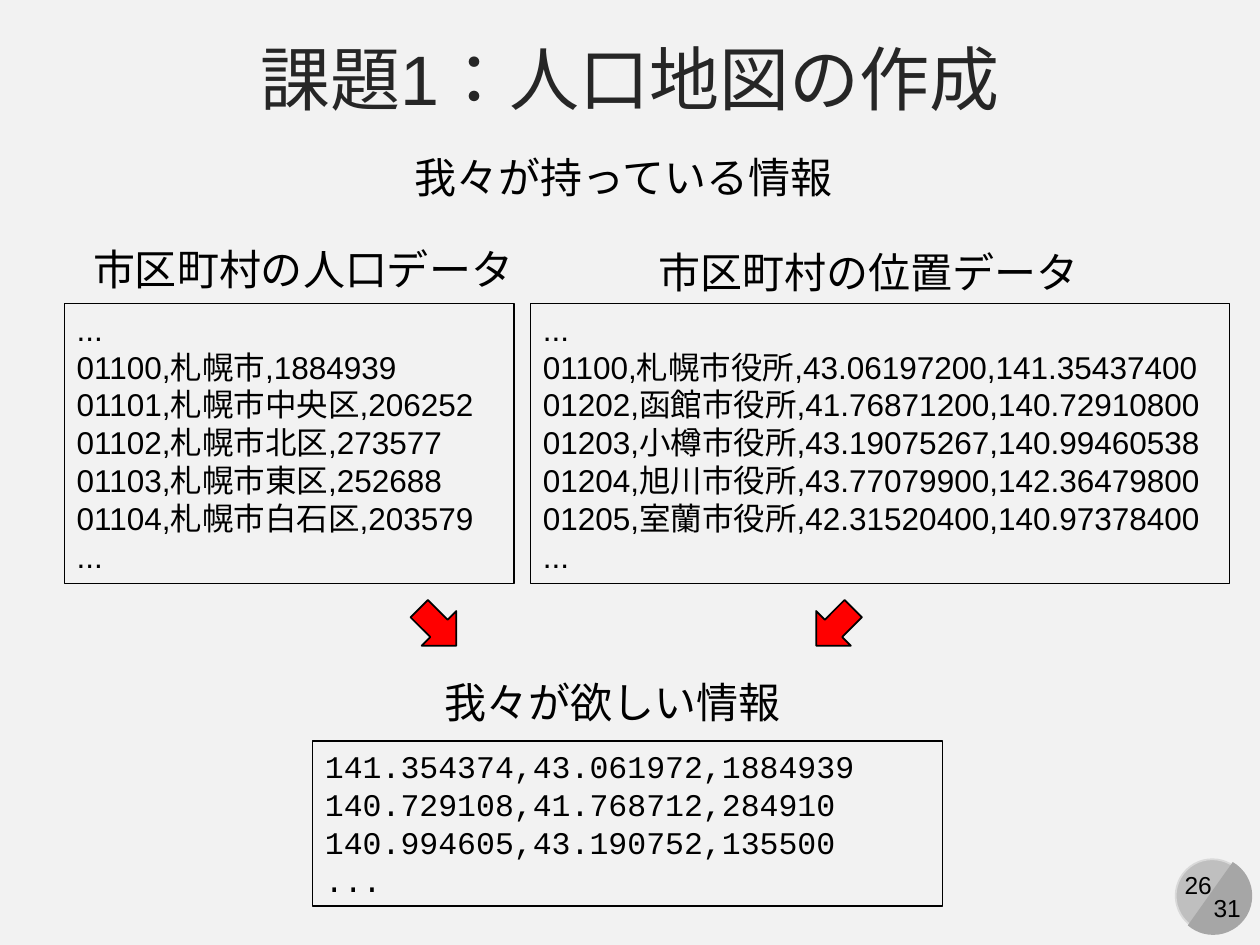
from pptx import Presentation
from pptx.dml.color import RGBColor
from pptx.enum.lang import MSO_LANGUAGE_ID as Language
from pptx.enum.shapes import MSO_SHAPE as Preset
from pptx.enum.text import MSO_ANCHOR as Anchor, PP_ALIGN as Align
from pptx.util import Pt

# Content: places are (left, top, width, height) in points
TITLE = "課題1：人口地図の作成"
CAPTIONS = [
    ("我々が持っている情報", (229.7, 82.8, 265, 36)),
    ("市区町村の人口データ", (46.1, 135.4, 257, 36)),
    ("市区町村の位置データ", (369.4, 137.5, 257, 36)),
    ("我々が欲しい情報", (247, 383, 208, 36)),
]
POPULATION = [
    "...",
    "01100,札幌市,1884939",
    "01101,札幌市中央区,206252",
    "01102,札幌市北区,273577",
    "01103,札幌市東区,252688",
    "01104,札幌市白石区,203579",
    "...",
]
LOCATIONS = [
    "...",
    "01100,札幌市役所,43.06197200,141.35437400",
    "01202,函館市役所,41.76871200,140.72910800",
    "01203,小樽市役所,43.19075267,140.99460538",
    "01204,旭川市役所,43.77079900,142.36479800",
    "01205,室蘭市役所,42.31520400,140.97378400",
    "...",
]
WANTED = [
    "141.354374,43.061972,1884939",
    "140.729108,41.768712,284910",
    "140.994605,43.190752,135500",
    "...",
]
RECORDS = [
    (POPULATION, "sans", (36.7, 173.5, 257, 160)),
    (LOCATIONS, "sans", (303.1, 173.5, 399.6, 160)),
    (WANTED, "mono", (178.6, 423.4, 360, 94.3)),
]
ARROWS = [((236.2, 343.4, 28, 30), 315), ((463, 343.4, 28, 30), 45)]
PAGE_NUMBER = ("26", (668.9, 493.9, 31.7, 24.5))
PAGE_TOTAL = ("31", (686.2, 506.9, 30.2, 24.5))

THEME = {
    "sans": "Arial", "mono": "Courier New",
    "title": 40, "caption": 24, "record": 18, "number": 14,
    "paper": "F2F2F2", "heading": "262626", "ink": "000000", "arrow": "FF0000",
    "disc": "BFBFBF", "rim": "D9D9D9", "chord": "A6A6A6",
}


def colour(name):
    return RGBColor.from_string(THEME[name])


def points(place):
    return [Pt(value) for value in place]


def write(box, lines, size, face="sans", ink="ink", align=Align.LEFT,
          anchor=Anchor.TOP, wrap=False):
    frame = box.text_frame
    frame.word_wrap = wrap
    frame.vertical_anchor = anchor
    for index, line in enumerate(lines):
        para = frame.add_paragraph() if index else frame.paragraphs[0]
        para.alignment = align
        para.space_before = Pt(0)
        span = para.add_run()
        span.text = line
        font = span.font
        font.name, font.size = THEME[face], Pt(THEME[size])
        font.color.rgb = colour(ink)
        font.language_id = Language.JAPANESE


def add_text(page, text, place, size, align=Align.LEFT):
    box = page.shapes.add_textbox(*points(place))
    write(box, [text], size, align=align)


def add_preset(page, preset, place, fill=None, line=None, width=1, rotation=0):
    shape = page.shapes.add_shape(preset, *points(place))
    shape.shadow.inherit = False
    shape.rotation = rotation
    if fill:
        shape.fill.solid()
        shape.fill.fore_color.rgb = colour(fill)
    else:
        shape.fill.background()
    if line:
        shape.line.color.rgb = colour(line)
        shape.line.width = Pt(width)
    else:
        shape.line.fill.background()
    return shape


def main():
    deck = Presentation()
    deck.slide_width, deck.slide_height = Pt(720), Pt(540)
    page = deck.slides.add_slide(deck.slide_layouts[5])
    page.background.fill.solid()
    page.background.fill.fore_color.rgb = colour("paper")

    # Page badge
    add_preset(page, Preset.OVAL, (671.8, 491, 41.8, 41.8), "disc", "rim")
    add_text(page, *PAGE_NUMBER, "number", Align.CENTER)
    chord = add_preset(page, Preset.CHORD, (671, 489.6, 44.6, 44.6), "chord", rotation=255)
    chord.adjustments[0], chord.adjustments[1] = 27, 141.42
    add_text(page, *PAGE_TOTAL, "number", Align.CENTER)

    # Title
    title = page.shapes.title
    title.left, title.top, title.width, title.height = points((0, 15, 720, 59))
    write(title, [TITLE], "title", ink="heading", align=Align.CENTER,
          anchor=Anchor.MIDDLE, wrap=True)

    # Captions and data boxes
    for text, place in CAPTIONS:
        add_text(page, text, place, "caption")
    for lines, face, place in RECORDS:
        box = add_preset(page, Preset.RECTANGLE, place, line="ink", width=0.75)
        write(box, lines, "record", face)

    # Arrows from the known data to the wanted data
    for place, rotation in ARROWS:
        add_preset(page, Preset.DOWN_ARROW, place, "arrow", "ink", rotation=rotation)

    deck.save("out.pptx")


if __name__ == "__main__":
    main()
